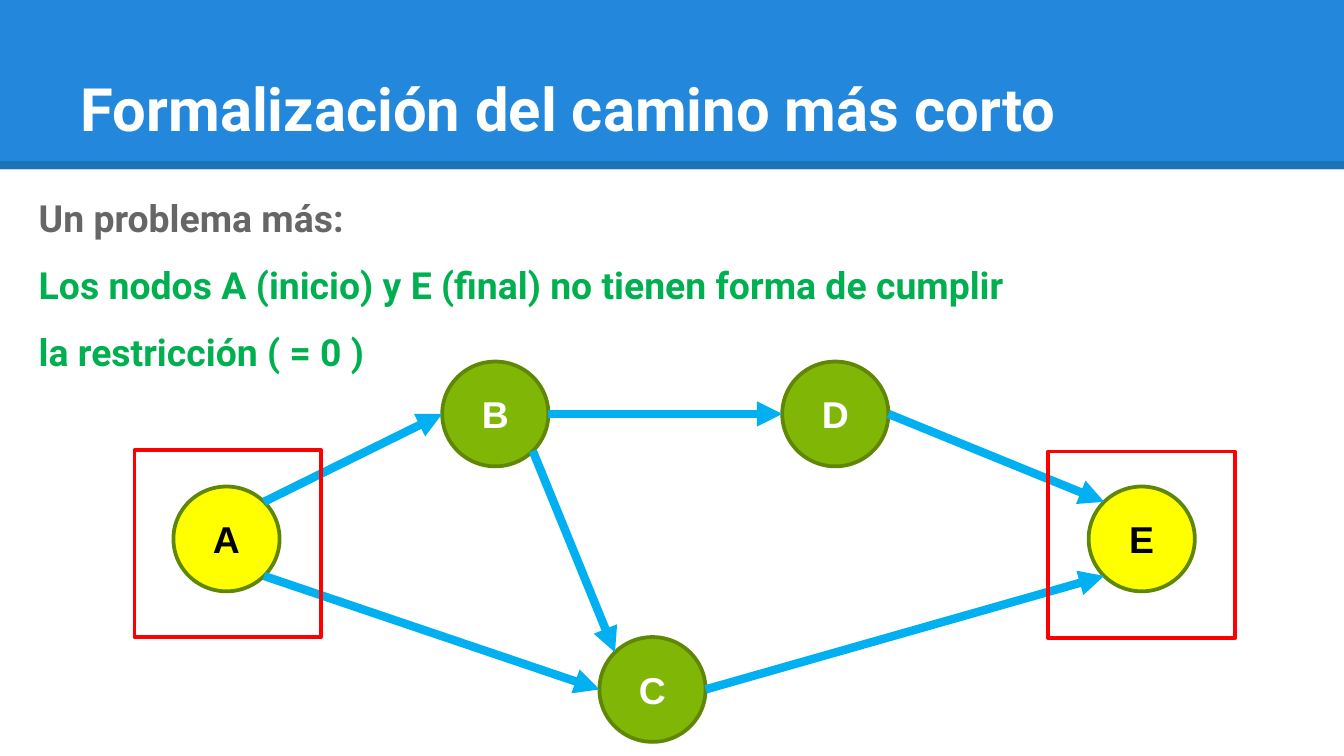
from math import cos, radians, sin

from lxml import etree
from pptx import Presentation
from pptx.dml.color import RGBColor
from pptx.enum.shapes import MSO_CONNECTOR, MSO_SHAPE
from pptx.enum.text import MSO_ANCHOR, MSO_AUTO_SIZE, PP_ALIGN
from pptx.oxml.ns import qn
from pptx.util import Inches, Pt

STRAIGHT = MSO_CONNECTOR.STRAIGHT
RECTANGLE, OVAL = MSO_SHAPE.RECTANGLE, MSO_SHAPE.OVAL
MIDDLE, BOTTOM = MSO_ANCHOR.MIDDLE, MSO_ANCHOR.BOTTOM
CENTER, LEFT = PP_ALIGN.CENTER, PP_ALIGN.LEFT
NO_AUTOFIT = MSO_AUTO_SIZE.NONE

BLACK = RGBColor(0x00, 0x00, 0x00)
WHITE = RGBColor(0xFF, 0xFF, 0xFF)
BLUE = RGBColor(0x23, 0x88, 0xDB)
SKY = RGBColor(0x00, 0xB0, 0xF0)
YELLOW = RGBColor(0xFF, 0xFF, 0x00)
LIME = RGBColor(0x80, 0xB6, 0x06)
OLIVE = RGBColor(0x5F, 0x87, 0x04)
GRAY = RGBColor(0x66, 0x66, 0x66)
GREEN = RGBColor(0x00, 0xB0, 0x50)
RED = RGBColor(0xFF, 0x00, 0x00)

NODE_WIDTH, NODE_HEIGHT = 0.79, 0.78
FRAME_SIZE = 1.39


def style_font(para, name, size, color):
    para.font.name = name
    para.font.size = Pt(size)
    para.font.bold = True
    para.font.color.rgb = color


def add_line(page, start, end, color):
    line = page.shapes.add_connector(STRAIGHT, *[Inches(v) for v in (*start, *end)])
    line.line.color.rgb = color
    line.line.width = Pt(4.5)
    etree.SubElement(line._element.spPr, qn("a:effectLst"))
    return line


deck = Presentation()
deck.slide_width = Inches(10)
deck.slide_height = deck.slide_width * 9 // 16
page = deck.slides.add_slide(deck.slide_layouts[5])

# Header band with a translucent dark edge
band = page.shapes.add_shape(RECTANGLE, 0, 0, Inches(10), Inches(1.26))
band.shadow.inherit = False
band.fill.solid()
band.fill.fore_color.rgb = BLUE
band.line.fill.background()
edge = add_line(page, (0, 1.23), (10, 1.23), BLACK)
edge_color = edge.line._ln.find(".//" + qn("a:srgbClr"))
etree.SubElement(edge_color, qn("a:alpha"), val="14000")

title = page.shapes.title
title.left, title.top = Inches(0.5), Inches(0.23)
title.width, title.height = Inches(9), Inches(0.94)
title.text_frame.text = "Formalización del camino más corto"
title.text_frame.paragraphs[0].alignment = LEFT
style_font(title.text_frame.paragraphs[0], "Roboto", 32, WHITE)
page.shapes._spTree.append(title._element)  # in front of the band

# Graph nodes: left, top, fill, letter colour
nodes = {
    "A": (1.29, 3.62, YELLOW, BLACK),
    "C": (4.46, 4.74, LIME, WHITE),
    "D": (5.82, 2.69, LIME, WHITE),
    "E": (8.1, 3.62, YELLOW, BLACK),
    "B": (3.29, 2.69, LIME, WHITE),
}
for letter, (left, top, fill, color) in nodes.items():
    node = page.shapes.add_shape(
        OVAL, Inches(left), Inches(top), Inches(NODE_WIDTH), Inches(NODE_HEIGHT))
    node.shadow.inherit = False
    node.fill.solid()
    node.fill.fore_color.rgb = fill
    node.line.color.rgb = OLIVE
    node.line.width = Pt(2)
    node.text_frame.text = letter
    node.text_frame.vertical_anchor = MIDDLE
    node.text_frame.paragraphs[0].alignment = CENTER
    style_font(node.text_frame.paragraphs[0], "Arial", 20, color)

# Directed edges: node and angle (clockwise from the right) at each end
edges = [
    ("A", -45, "B", 180),
    ("A", 45, "C", 180),
    ("B", 0, "D", 180),
    ("D", 0, "E", 225),
    ("C", 0, "E", 135),
    ("B", 45, "C", 225),
]
for source, source_angle, target, target_angle in edges:
    ends = []
    for letter, angle in ((source, source_angle), (target, target_angle)):
        left, top = nodes[letter][:2]
        ends.append((left + NODE_WIDTH / 2 * (1 + cos(radians(angle))),
                     top + NODE_HEIGHT / 2 * (1 + sin(radians(angle)))))
    arrow = add_line(page, *ends, SKY)
    etree.SubElement(arrow.line._ln, qn("a:tailEnd"), type="triangle")

# Explanation
note = page.shapes.add_textbox(Inches(0.19), Inches(1.27), Inches(10.33), Inches(1.53))
lines = [
    ("Un problema más:", GRAY),
    ("Los nodos A (inicio) y E (final) no tienen forma de cumplir", GREEN),
    ("la restricción ( = 0 )", GREEN),
]
note.text_frame.text = "\n".join(text for text, color in lines)
for para, (text, color) in zip(note.text_frame.paragraphs, lines):
    para.line_spacing = 1.5
    style_font(para, "Roboto", 20, color)

for box, anchor in ((title, BOTTOM), (note, MIDDLE)):
    frame = box.text_frame
    frame.word_wrap = True
    frame.auto_size = NO_AUTOFIT
    frame.vertical_anchor = anchor
    frame.margin_left = frame.margin_right = Inches(0.1)
    frame.margin_top = frame.margin_bottom = Inches(0.1)

# Frames around the start and end nodes
for left, top in ((1, 3.35), (7.8, 3.36)):
    frame = page.shapes.add_shape(
        RECTANGLE, Inches(left), Inches(top), Inches(FRAME_SIZE), Inches(FRAME_SIZE))
    frame.shadow.inherit = False
    frame.fill.background()
    frame.line.color.rgb = RED
    frame.line.width = Pt(2)

deck.save("out.pptx")
